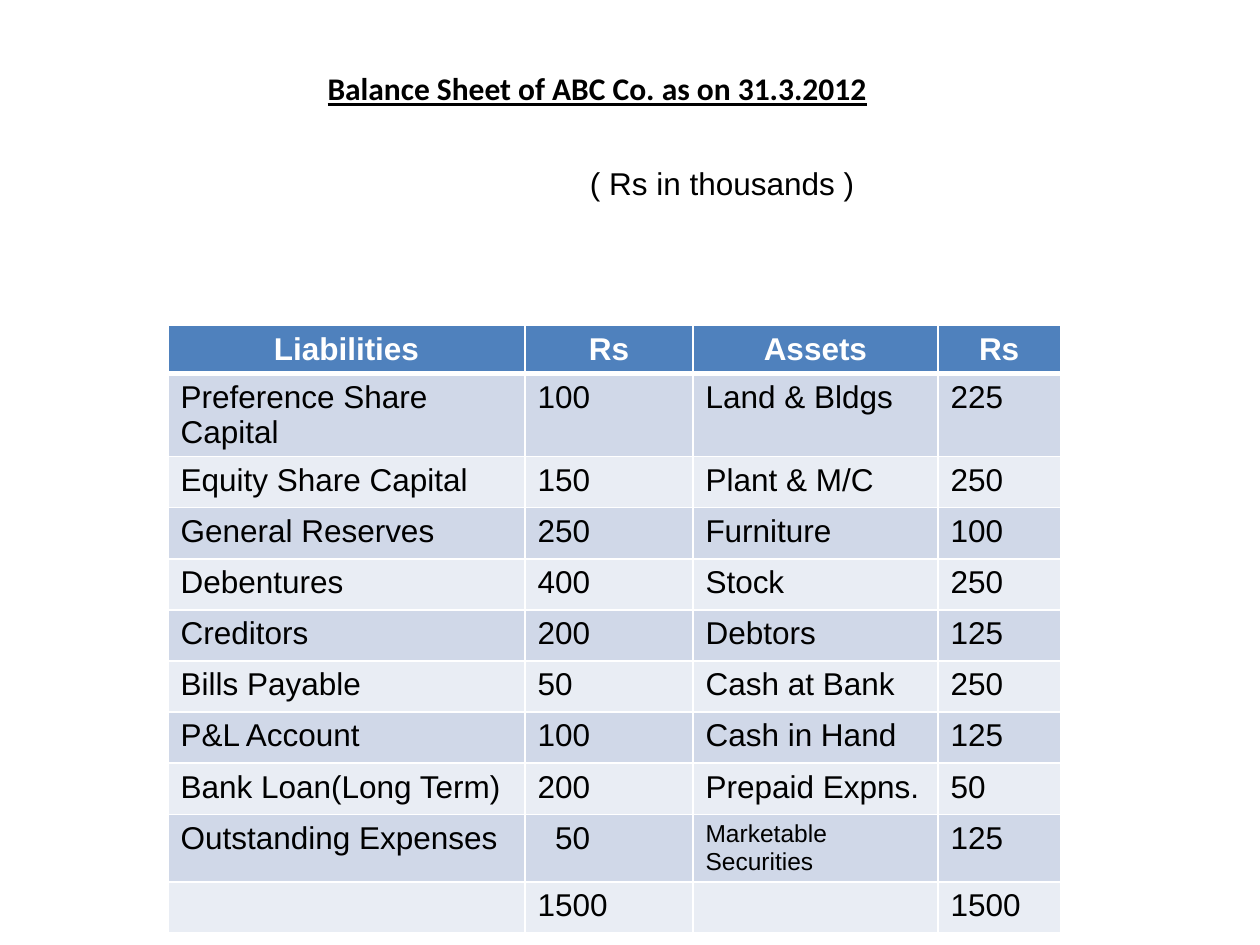
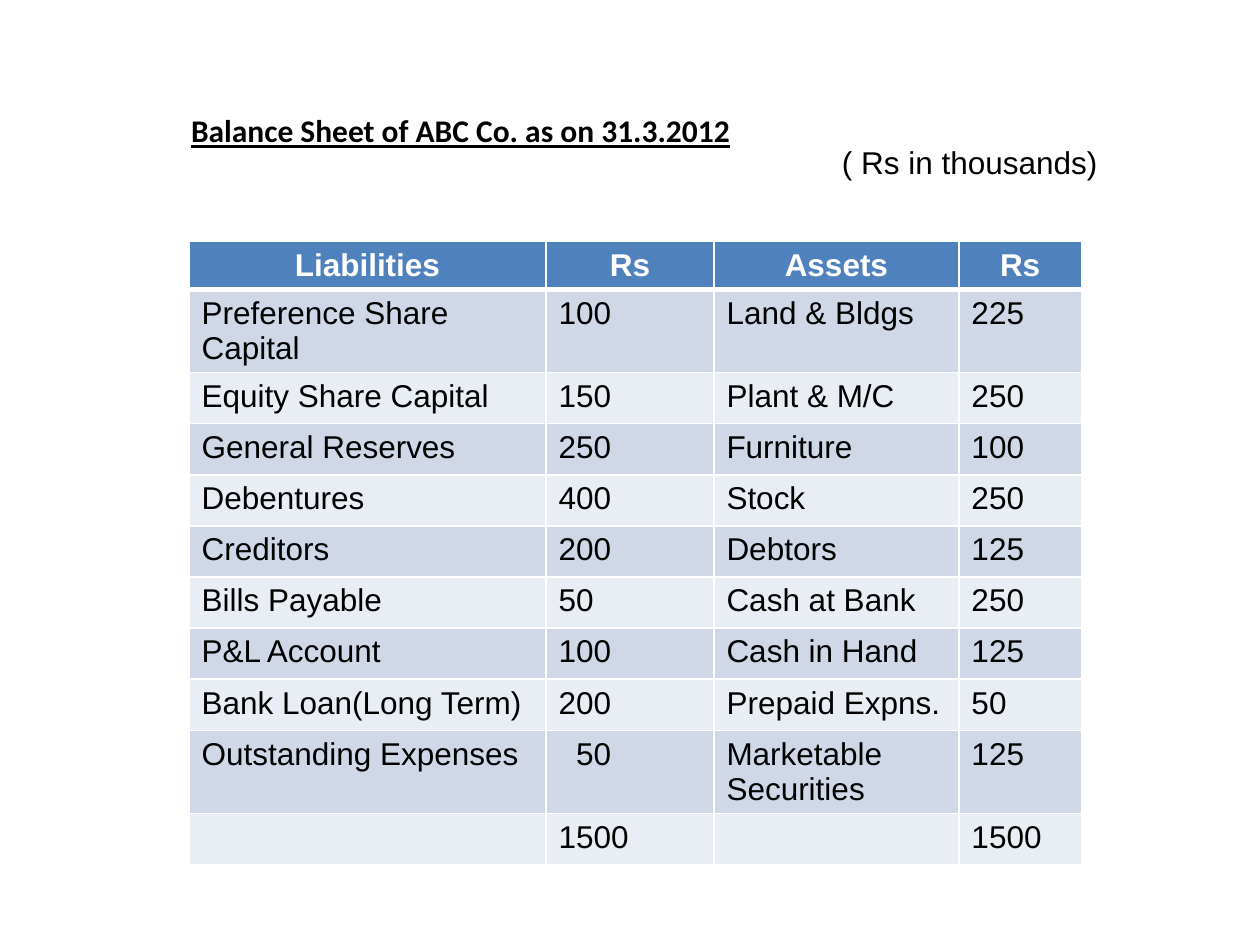
import dataclasses

import pptx
import pptx.dml.color
import pptx.enum.text
import pptx.oxml
import pptx.oxml.ns
import pptx.util

Pt = pptx.util.Pt
RGB = pptx.dml.color.RGBColor.from_string
ALIGN = pptx.enum.text.PP_ALIGN
ANCHOR = pptx.enum.text.MSO_ANCHOR
FIT = pptx.enum.text.MSO_AUTO_SIZE


@dataclasses.dataclass(frozen=True)
class Theme:
    ink: str = "000000"
    paper: str = "FFFFFF"
    header: str = "4F81BD"
    bands: tuple = ("D0D8E8", "E9EDF4")
    title_font: str = "Calibri"
    body_font: str = "Arial"
    size: float = 18
    small: float = 14
    rule: float = 1
    header_rule: float = 3


THEME = Theme()

HEADINGS = ("Liabilities", "Rs", "Assets", "Rs")
ACCOUNTS = (
    ("Preference Share Capital", "100", "Land & Bldgs", "225"),
    ("Equity Share Capital", "150", "Plant & M/C", "250"),
    ("General Reserves", "250", "Furniture", "100"),
    ("Debentures", "400", "Stock", "250"),
    ("Creditors", "200", "Debtors", "125"),
    ("Bills Payable", "50", "Cash at Bank", "250"),
    ("P&L Account", "100", "Cash in Hand", "125"),
    ("Bank Loan(Long Term)", "200", "Prepaid Expns.", "50"),
    ("Outstanding Expenses", "50", "Marketable Securities", "125"),
    ("", "1500", "", "1500"),
)
COLUMN_WIDTHS = (204, 96, 140, 70)
HEADER_HEIGHT, ROW_HEIGHT = 23, 29.2
LAST_EXPENSE = len(ACCOUNTS) - 1  # row above the totals
EXPENSE_INDENT = 10


def apply_format(target, values):
    for attribute, value in values.items():
        setattr(target, attribute, value)


def format_text(paragraph, text, color=THEME.ink, align=ALIGN.LEFT, **font_values):
    paragraph.text = text
    paragraph.alignment = align
    apply_format(paragraph.font, {"name": THEME.body_font, "size": Pt(THEME.size),
                                  "bold": False})
    for run in paragraph.runs:
        apply_format(run.font, {"name": THEME.body_font, "size": Pt(THEME.size),
                                "bold": False, **font_values})
        run.font.color.rgb = RGB(color)


def format_frame(frame):
    apply_format(frame, {
        "word_wrap": False, "auto_size": FIT.NONE, "vertical_anchor": ANCHOR.TOP,
        "margin_left": Pt(7.2), "margin_right": Pt(7.2),
        "margin_top": Pt(3.6), "margin_bottom": Pt(3.6)})


# Heading and unit note
def add_title(slide, text, left, top, width, height):
    title = slide.shapes.title
    apply_format(title, {"left": Pt(left), "top": Pt(top),
                         "width": Pt(width), "height": Pt(height)})
    format_frame(title.text_frame)
    format_text(title.text_frame.paragraphs[0], text, name=THEME.title_font,
                bold=True, underline=True)


def add_unit_note(slide, text, left, top, width, height):
    note = slide.shapes.add_textbox(Pt(left), Pt(top), Pt(width), Pt(height))
    format_frame(note.text_frame)
    format_text(note.text_frame.paragraphs[0], text)


# Balance sheet table
def set_borders(cell, **widths):
    properties = cell._tc.get_or_add_tcPr()
    for side in "LRTB":
        width = Pt(widths.get(side, THEME.rule))
        properties.append(pptx.oxml.parse_xml(
            f'<a:ln{side} {pptx.oxml.ns.nsdecls("a")} w="{width}"><a:solidFill>'
            f'<a:srgbClr val="{THEME.paper}"/></a:solidFill></a:ln{side}>'))


def fill_cell(cell, color):
    cell.fill.solid()
    cell.fill.fore_color.rgb = RGB(color)


def add_balance_sheet(slide, left, top, securities_size):
    height = HEADER_HEIGHT + ROW_HEIGHT * len(ACCOUNTS)
    sheet = slide.shapes.add_table(len(ACCOUNTS) + 1, len(HEADINGS), Pt(left), Pt(top),
                                   Pt(sum(COLUMN_WIDTHS)), Pt(height)).table
    for column, width in zip(sheet.columns, COLUMN_WIDTHS):
        column.width = Pt(width)
    for index, row in enumerate(sheet.rows):
        row.height = Pt(ROW_HEIGHT if index else HEADER_HEIGHT)

    for column, heading in enumerate(HEADINGS):
        cell = sheet.cell(0, column)
        set_borders(cell, B=THEME.header_rule)
        fill_cell(cell, THEME.header)
        format_text(cell.text_frame.paragraphs[0], heading, THEME.paper,
                    ALIGN.CENTER, bold=True)

    for index, account in enumerate(ACCOUNTS, start=1):
        for column, entry in enumerate(account):
            cell = sheet.cell(index, column)
            set_borders(cell, T=THEME.header_rule if index == 1 else THEME.rule)
            fill_cell(cell, THEME.bands[(index - 1) % 2])
            is_securities = (index, column) == (LAST_EXPENSE, 2)
            format_text(cell.text_frame.paragraphs[0], entry,
                        size=Pt(securities_size if is_securities else THEME.size))

    # The last expense sits slightly to the right of the other amounts
    sheet.cell(LAST_EXPENSE, 1).margin_left = Pt(7.2 + EXPENSE_INDENT)


def add_statement(deck, title_box, note, note_box, sheet_origin, securities_size):
    slide = deck.slides.add_slide(deck.slide_layouts[5])
    add_title(slide, "Balance Sheet of ABC Co. as on 31.3.2012", *title_box)
    add_balance_sheet(slide, *sheet_origin, securities_size)
    add_unit_note(slide, note, *note_box)


def main():
    deck = pptx.Presentation()
    deck.slide_width, deck.slide_height = Pt(720), Pt(540)
    add_statement(deck, (180, 36, 325.5, 51), "( Rs in thousands )",
                  (330, 90, 167, 29), (96, 186), THEME.small)
    add_statement(deck, (102, 60, 325.5, 73), "( Rs in thousands)",
                  (474, 78, 162, 29), (108, 138), THEME.size)
    deck.save("out.pptx")


main()
